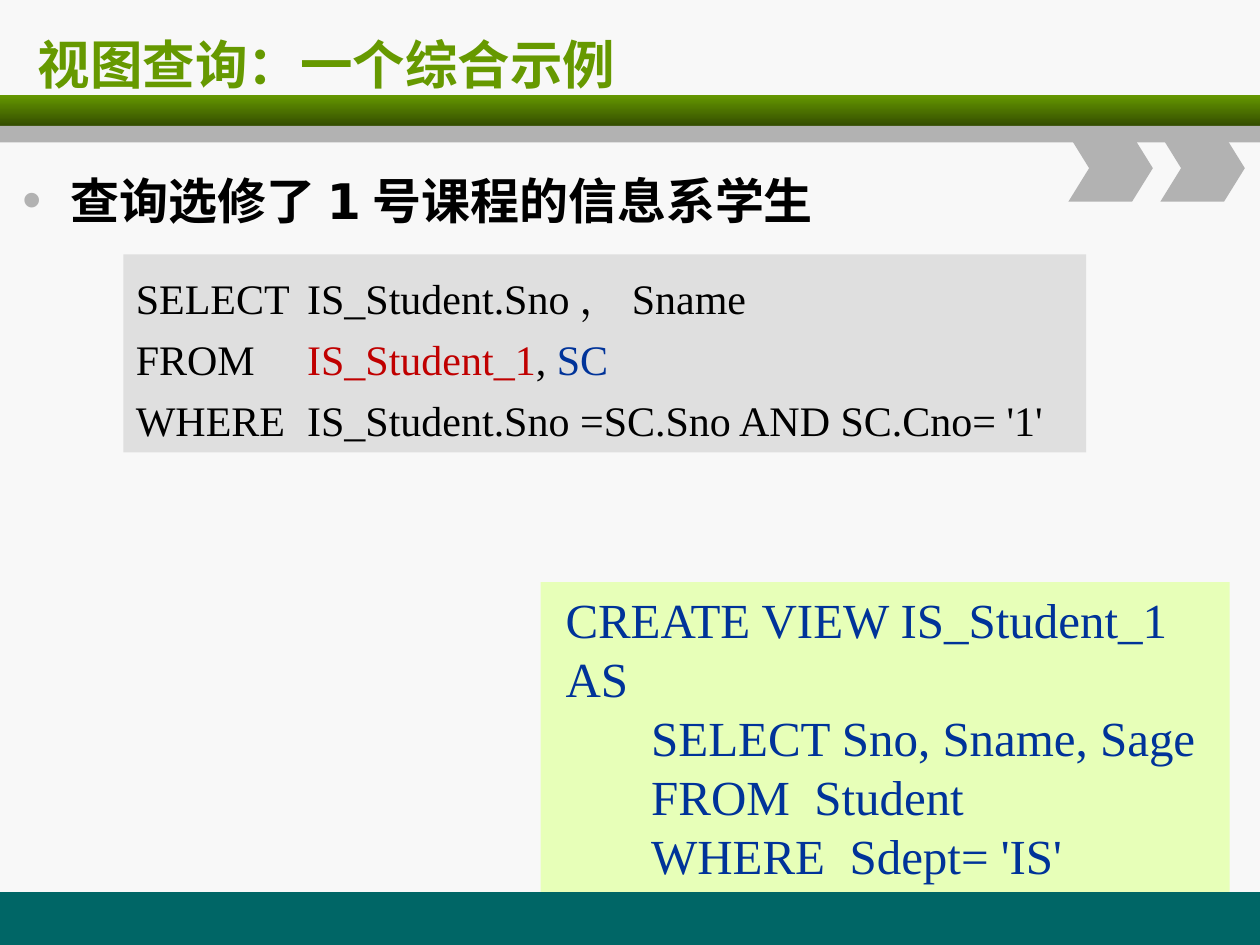
from pptx import Presentation
from pptx.util import Inches, Pt
from pptx.dml.color import RGBColor
from pptx.enum import shapes, text
from pptx.oxml import parse_xml
from pptx.oxml.ns import nsdecls

THEME = dict(
    back="F8F8F8", green="669900", dark="344D00", teal="006666", grey="B2B2B2",
    pale="DFDFDF", lime="E7FFB8", black="000000", red="C00000", blue="003399",
    sans="DejaVu Sans", serif="Times New Roman", title=30, large=28, code=24)
rgb = RGBColor.from_string

prs = Presentation()
prs.slide_width, prs.slide_height = Inches(10), Inches(7.5)
slide = prs.slides.add_slide(prs.slide_layouts[5])
slide.background.fill.solid()
slide.background.fill.fore_color.rgb = rgb(THEME["back"])


def block(kind, left, top, width, height, color):
    """Add a flat filled shape with left-aligned, wrapped text."""
    shape = slide.shapes.add_shape(
        kind, Inches(left), Inches(top), Inches(width), Inches(height))
    shape.shadow.inherit = False
    shape.fill.solid()
    shape.fill.fore_color.rgb = rgb(THEME[color])
    shape.line.fill.background()
    shape.text_frame.word_wrap = True
    shape.text_frame.vertical_anchor = text.MSO_ANCHOR.MIDDLE
    return shape


def style(para, face, size, *colors, bold=False):
    """Format the runs of a paragraph, one color per run."""
    para.alignment = text.PP_ALIGN.LEFT
    for run, color in zip(para.runs, colors):
        font = run.font
        font.name, font.size, font.bold = THEME[face], Pt(THEME[size]), bold
        font.color.rgb = rgb(THEME[color])
        run._r.get_or_add_rPr().append(parse_xml(
            f'<a:ea {nsdecls("a")} typeface="{THEME[face]}"/>'))


# Bands and chevrons
RECT, CHEVRON = shapes.MSO_SHAPE.RECTANGLE, shapes.MSO_SHAPE.CHEVRON
block(RECT, 0, 7.08, 10, 0.42, "teal")
band = block(RECT, 0, 0.75, 10, 0.25, "green")
band.fill.gradient()
band.fill.gradient_angle = 270
for stop, color, place in zip(band.fill.gradient_stops, ("green", "dark"), (0, 1)):
    stop.color.rgb = rgb(THEME[color])
    stop.position = place
block(RECT, 0, 1, 10, 0.13, "grey")
for left in (8.48, 9.21):
    block(CHEVRON, left, 1.07, 0.67, 0.53, "grey").adjustments[0] = 0.31

# Title, in front of the bands
title = slide.shapes.title
title.left, title.top = Inches(0.2), Inches(0.17)
title.width, title.height = Inches(9.55), Inches(0.67)
title.text_frame.text = "视图查询：一个综合示例"
title.text_frame.vertical_anchor = text.MSO_ANCHOR.MIDDLE
style(title.text_frame.paragraphs[0], "sans", "title", "green", bold=True)
slide.shapes._spTree.append(title._element)

# Bulleted question
body = slide.shapes.add_textbox(Inches(0.08), Inches(1.3), Inches(6.65), Inches(0.71))
body.text_frame.word_wrap = True
para = body.text_frame.paragraphs[0]
para.text = "查询选修了1号课程的信息系学生"
para.space_before = Pt(5.6)
style(para, "sans", "large", "black", bold=True)
props = para._p.get_or_add_pPr()
props.set("marL", str(Inches(0.38)))
props.set("indent", str(Inches(-0.38)))
for xml in (f'<a:buClr {nsdecls("a")}><a:srgbClr val="{THEME["grey"]}"/></a:buClr>',
            f'<a:buSzPct {nsdecls("a")} val="110000"/>',
            f'<a:buFont {nsdecls("a")} typeface="Arial"/>',
            f'<a:buChar {nsdecls("a")} char="•"/>'):
    props.append(parse_xml(xml))

# Query, with its clauses lined up at a tab stop
query = block(RECT, 0.98, 2.02, 7.64, 1.57, "pale").text_frame
clauses = [
    [("SELECT\tIS_Student.Sno，Sname", "black")],
    [("FROM\t", "black"), ("IS_Student_1", "red"), (", ", "black"), ("SC", "blue")],
    [("WHERE\tIS_Student.Sno =SC.Sno AND SC.Cno= '1'", "black")]]
for i, parts in enumerate(clauses):
    para = query.add_paragraph() if i else query.paragraphs[0]
    para.line_spacing = Pt(35)
    for words, color in parts:
        para.add_run().text = words
    style(para, "serif", "code", *[color for words, color in parts])
    para._p.get_or_add_pPr().append(parse_xml(
        f'<a:tabLst {nsdecls("a")}><a:tab pos="{Inches(1.36)}" algn="l"/></a:tabLst>'))

# View definition
view = block(RECT, 4.29, 4.62, 5.47, 2.46, "lime").text_frame
view.text = ("CREATE VIEW IS_Student_1\nAS\nSELECT Sno, Sname, Sage\n"
             "FROM  Student\nWHERE  Sdept= 'IS'")
for i, para in enumerate(view.paragraphs):
    style(para, "serif", "large", "blue")
    para._p.get_or_add_pPr().set("marL", str(Inches(0.1 if i < 2 else 0.78)))

prs.save("out.pptx")
